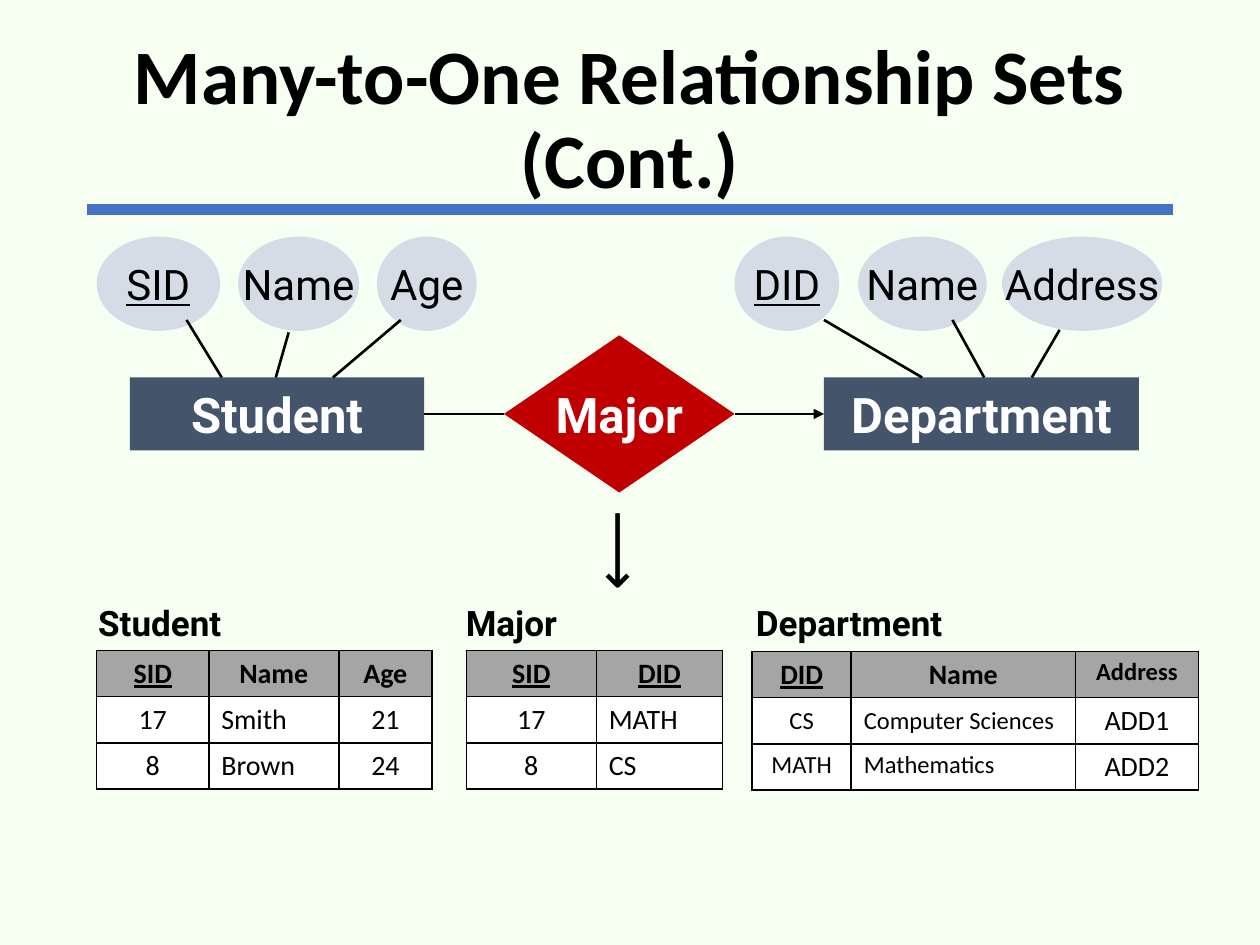
from lxml import etree
from pptx import Presentation
from pptx.dml.color import RGBColor
from pptx.enum.shapes import MSO_CONNECTOR, MSO_SHAPE
from pptx.enum.text import MSO_ANCHOR, MSO_AUTO_SIZE, PP_ALIGN
from pptx.oxml import parse_xml
from pptx.oxml.ns import nsdecls, qn
from pptx.util import Cm, Pt

STRAIGHT = MSO_CONNECTOR.STRAIGHT
RECT, OVAL, DIAMOND = MSO_SHAPE.RECTANGLE, MSO_SHAPE.OVAL, MSO_SHAPE.DIAMOND
LEFT, CENTER = PP_ALIGN.LEFT, PP_ALIGN.CENTER
TOP, MIDDLE = MSO_ANCHOR.TOP, MSO_ANCHOR.MIDDLE
NO_FIT = MSO_AUTO_SIZE.NONE

COLORS = {
    "background": "F7FFF3", "rule": "4472C4", "black": "000000",
    "white": "FFFFFF", "entity": "44546A", "attribute": "D6DCE5",
    "relationship": "C00000", "header": "A5A5A5",
}
HEAD_FONT, DIAGRAM_FONT = "Calibri", "Roboto"
ROW_HEIGHT = 0.93


def rgb(name):
    return RGBColor.from_string(COLORS[name])


class SlideBuilder:
    def __init__(self, prs):
        self.slide = prs.slides.add_slide(prs.slide_layouts[5])
        self.shapes = self.slide.shapes
        fill = self.slide.background.fill
        fill.solid()
        fill.fore_color.rgb = rgb("background")

    def set_text(self, tf, text, size, font=DIAGRAM_FONT, color="black",
                 bold=False, underline=False, align=CENTER):
        p = tf.paragraphs[0]
        p.text = text
        p.alignment = align
        f = p.font
        f.name, f.size, f.bold, f.underline = font, Pt(size), bold, underline
        f.color.rgb = rgb(color)
        return p

    def title(self, text, x, y, w, h):
        sp = self.shapes.title
        sp.left, sp.top, sp.width, sp.height = Cm(x), Cm(y), Cm(w), Cm(h)
        tf = sp.text_frame
        tf.word_wrap, tf.auto_size = True, NO_FIT
        tf.vertical_anchor = MIDDLE
        self.set_text(tf, text, 44, HEAD_FONT, bold=True).line_spacing = 0.9

    def text(self, text, x, y, w, h, size, bold=False, rotation=0):
        sp = self.shapes.add_textbox(Cm(x), Cm(y), Cm(w), Cm(h))
        sp.rotation = rotation
        sp.text_frame.word_wrap = rotation != 0
        self.set_text(sp.text_frame, text, size, bold=bold, align=LEFT)

    def node(self, kind, text, x, y, w, h, fill, size, **style):
        sp = self.shapes.add_shape(kind, Cm(x), Cm(y), Cm(w), Cm(h))
        sp.shadow.inherit = False
        sp.fill.solid()
        sp.fill.fore_color.rgb = rgb(fill)
        sp.line.fill.background()
        tf = sp.text_frame
        tf.word_wrap, tf.vertical_anchor = False, MIDDLE
        self.set_text(tf, text, size, **style)
        return sp

    def line(self, x1, y1, x2, y2, color="black", width=1.5):
        cx = self.shapes.add_connector(STRAIGHT, Cm(x1), Cm(y1), Cm(x2), Cm(y2))
        cx.line.color.rgb = rgb(color)
        cx.line.width = Pt(width)
        etree.SubElement(cx._element.spPr, qn("a:effectLst"))
        return cx

    def join(self, start, end, arrow=False):
        """Join the right side of one node to the left side of the next."""
        cx = self.line(0, 0, 1, 1)
        cx.begin_connect(start, 3)
        cx.end_connect(end, 1)
        if arrow:
            ln = cx._element.spPr.find(qn("a:ln"))
            etree.SubElement(ln, qn("a:tailEnd"), type="triangle")

    def cell_borders(self, cell):
        tc_pr = cell._tc.get_or_add_tcPr()
        for side in "LRTB":
            tc_pr.append(parse_xml(
                f'<a:ln{side} {nsdecls("a")} w="12700"><a:solidFill>'
                f'<a:srgbClr val="{COLORS["black"]}"/></a:solidFill></a:ln{side}>'))

    def table(self, rows, x, y, widths, keys, small=(), middle_row=None):
        """Columns in keys get underlined headings; cells in small use 14 pt."""
        frame = self.shapes.add_table(len(rows), len(widths), Cm(x), Cm(y),
                                      Cm(sum(widths)), Cm(ROW_HEIGHT * len(rows)))
        table = frame.table
        table.first_row = table.horz_banding = False
        for c, width in enumerate(widths):
            table.columns[c].width = Cm(width)
        for r, row in enumerate(rows):
            table.rows[r].height = Cm(ROW_HEIGHT)
            header = r == 0
            for c, value in enumerate(row):
                cell = table.cell(r, c)
                self.cell_borders(cell)
                cell.fill.solid()
                cell.fill.fore_color.rgb = rgb("header" if header else "white")
                cell.vertical_anchor = MIDDLE if r == middle_row else TOP
                self.set_text(cell.text_frame, value,
                              14 if (r, c) in small else 16, HEAD_FONT,
                              bold=header, underline=header and c in keys,
                              align=LEFT if c == 1 and not header else CENTER)


def main():
    prs = Presentation()
    prs.slide_width, prs.slide_height = Cm(25.4), Cm(19.05)
    s = SlideBuilder(prs)

    # Title and rule
    s.line(1.75, 4.22, 23.65, 4.22, "rule", 6)
    s.title("Many-to-One Relationship Sets (Cont.)", 1.75, 0.61, 21.9, 3.68)

    # Entities and the relationship between them
    entity_top = 7.61
    box = {"size": 28, "color": "white", "bold": True}
    student = s.node(RECT, "Student", 2.62, entity_top, 5.93, 1.47, "entity", **box)
    major = s.node(DIAMOND, "Major", 10.16, 6.76, 4.65, 3.17, "relationship", **box)
    department = s.node(RECT, "Department", 16.61, entity_top, 6.35, 1.47,
                        "entity", **box)
    s.join(student, major)
    s.join(major, department, arrow=True)

    # Attributes: name, left, width, link start x and y, link end x
    attributes = [
        ("SID", 1.95, 2.49, 3.76, 6.45, 4.47),
        ("Name", 4.8, 2.44, 5.82, 6.7, 5.56),
        ("Age", 7.6, 2.01, 8.08, 6.45, 6.71),
        ("DID", 14.81, 2.11, 16.61, 6.45, 18.59),
        ("Name", 17.3, 2.59, 19.2, 6.45, 19.84),
        ("Address", 20.2, 3.23, 21.36, 6.65, 20.8),
    ]
    for name, x, w, x1, y1, x2 in attributes:
        s.node(OVAL, name, x, 4.77, w, 1.9, "attribute", 24,
               underline=name.endswith("ID"))
        s.line(x1, y1, x2, entity_top)

    # Arrow down to the tables
    s.text("⟶", 11.61, 10.16, 1.88, 1.63, 32, rotation=90)

    # Tables with captions
    for caption, x, w in [("Student", 1.73, 3), ("Major", 9.14, 2.44),
                          ("Department", 14.99, 4.39)]:
        s.text(caption, x, 12.01, w, 1.12, 20, bold=True)
    s.table([("SID", "Name", "Age"), ("17", "Smith", "21"), ("8", "Brown", "24")],
            1.95, 13.11, [2.26, 2.62, 1.88], keys={0})
    s.table([("SID", "DID"), ("17", "MATH"), ("8", "CS")],
            9.4, 13.11, [2.62, 2.55], keys={0, 1})
    s.table([("DID", "Name", "Address"), ("CS", "Computer Sciences", "ADD1"),
             ("MATH", "Mathematics", "ADD2")],
            15.16, 13.13, [2, 4.52, 2.48], keys={0}, middle_row=1,
            small={(0, 2), (1, 0), (1, 1), (2, 0), (2, 1)})

    prs.save("out.pptx")


if __name__ == "__main__":
    main()
